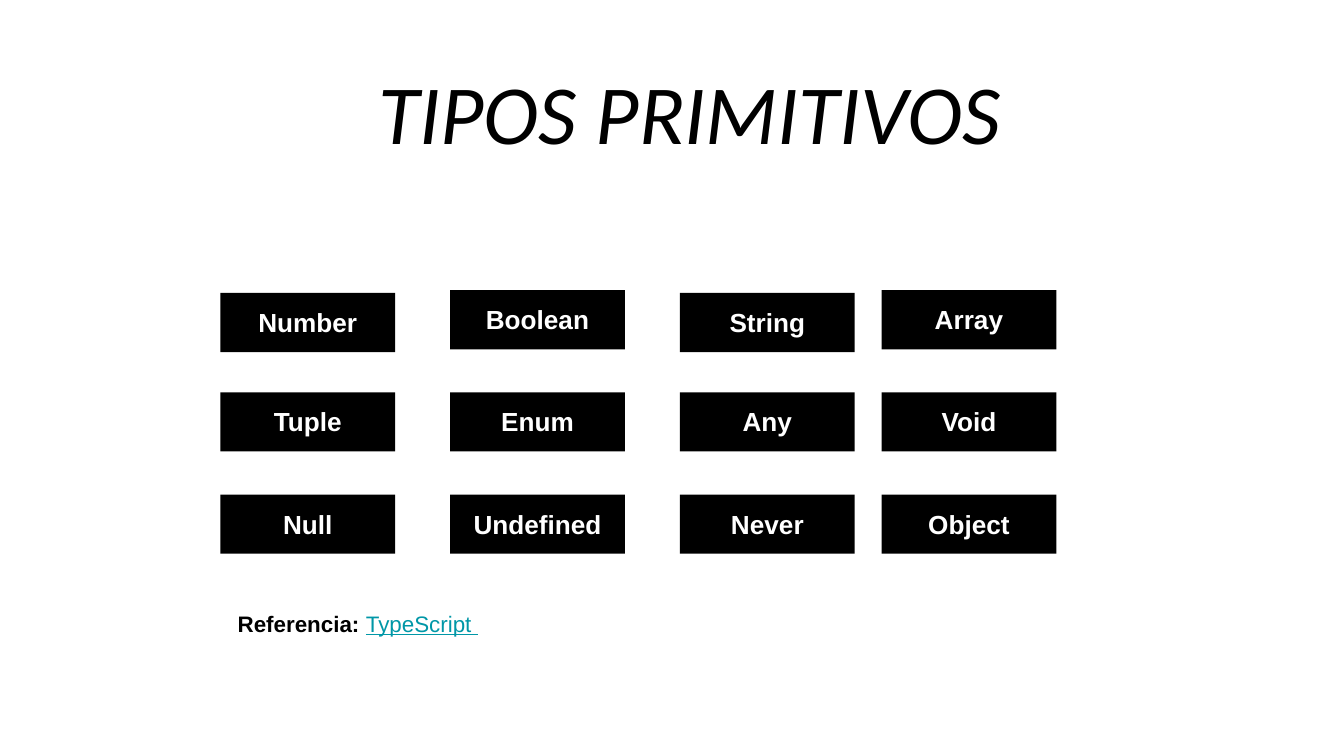
import pptx
import pptx.util
import pptx.dml.color
import pptx.enum.shapes
import pptx.enum.text

Inches = pptx.util.Inches
Pt = pptx.util.Pt
RGBColor = pptx.dml.color.RGBColor
PP_ALIGN = pptx.enum.text.PP_ALIGN

BLACK = RGBColor(0x00, 0x00, 0x00)
WHITE = RGBColor(0xFF, 0xFF, 0xFF)
TEAL = RGBColor(0x00, 0x97, 0xA7)


def set_frame(shape):
    frame = shape.text_frame
    frame.word_wrap = True
    frame.vertical_anchor = pptx.enum.text.MSO_ANCHOR.TOP
    frame.margin_left = frame.margin_right = Inches(0.1)
    frame.margin_top = frame.margin_bottom = Inches(0.1)
    return frame.paragraphs[0]


def add_run(paragraph, text, size, color, font_name="Arial", bold=False):
    run = paragraph.add_run()
    run.text = text
    run.font.name = font_name
    run.font.size = Pt(size)
    run.font.bold = bold
    run.font.color.rgb = color
    return run


presentation = pptx.Presentation()
presentation.slide_width = Inches(10)
presentation.slide_height = Inches(10) * 9 // 16
slide = presentation.slides.add_slide(presentation.slide_layouts[5])

title = slide.shapes.title
title.left, title.top = Inches(0.51), Inches(0.35)
title.width, title.height = Inches(9.24), Inches(1.08)
paragraph = set_frame(title)
paragraph.alignment = PP_ALIGN.CENTER
run = add_run(paragraph, "TIPOS PRIMITIVOS", 45, BLACK, "Calibri")
run.font.italic = True

column_lefts = [1.64, 3.35, 5.06, 6.56]
type_rows = [
    ([2.18, 2.16, 2.18, 2.16], ["Number", "Boolean", "String", "Array"]),
    ([2.92] * 4, ["Tuple", "Enum", "Any", "Void"]),
    ([3.68] * 4, ["Null", "Undefined", "Never", "Object"]),
]
for tops, type_names in type_rows:
    for left, top, type_name in zip(column_lefts, tops, type_names):
        box = slide.shapes.add_shape(
            pptx.enum.shapes.MSO_SHAPE.RECTANGLE,
            Inches(left), Inches(top), Inches(1.3), Inches(0.44),
        )
        box.shadow.inherit = False
        box.fill.solid()
        box.fill.fore_color.rgb = BLACK
        box.line.fill.background()
        paragraph = set_frame(box)
        paragraph.alignment = PP_ALIGN.CENTER
        add_run(paragraph, type_name, 14, WHITE, bold=True)

reference = slide.shapes.add_textbox(Inches(1.67), Inches(4.44), Inches(2.9), Inches(0.4))
paragraph = set_frame(reference)
add_run(paragraph, "Referencia: ", 12, BLACK, bold=True)
run = add_run(paragraph, "TypeScript ", 12, TEAL)
run.font.underline = True

presentation.save("out.pptx")
